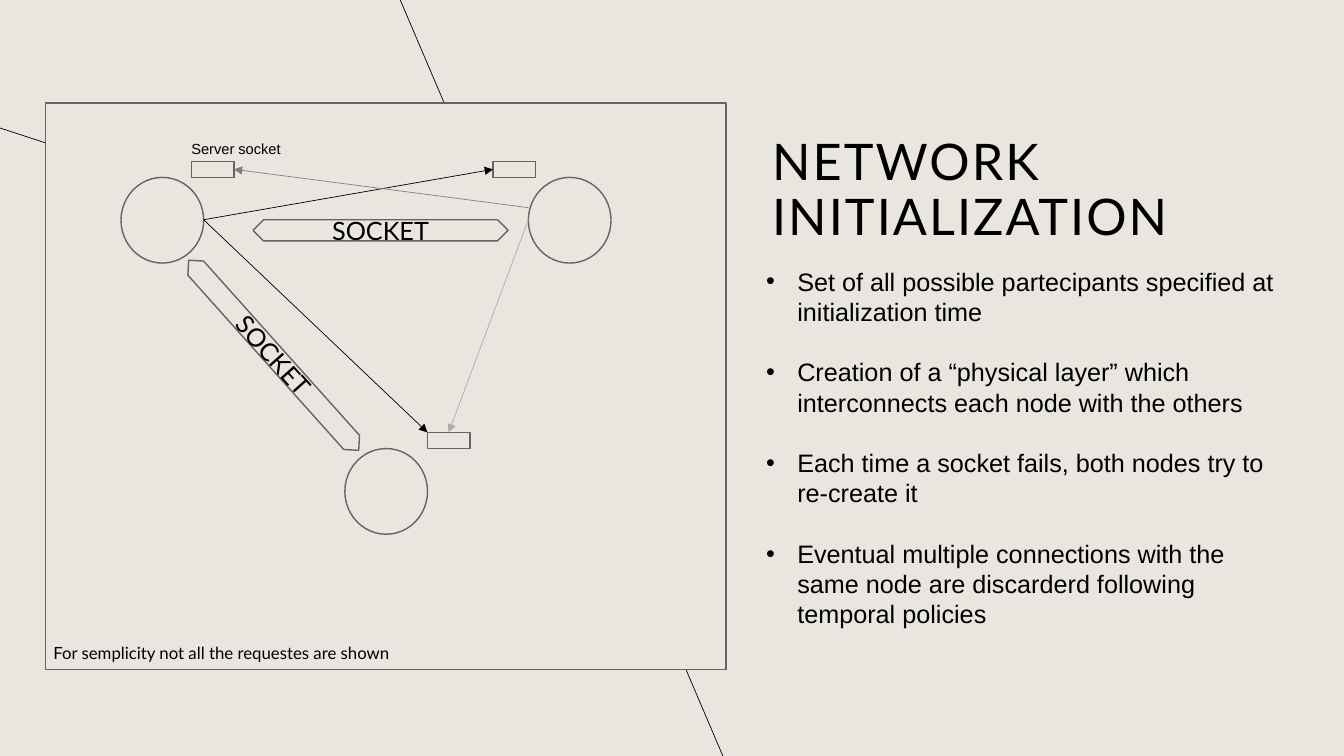
from typing import NamedTuple, Optional

from lxml import etree
from pptx import Presentation
from pptx.dml.color import RGBColor
from pptx.enum.shapes import MSO_CONNECTOR, MSO_SHAPE
from pptx.enum.text import MSO_ANCHOR, MSO_AUTO_SIZE, PP_ALIGN
from pptx.oxml.ns import qn
from pptx.util import Emu, Pt

PX = 9144  # 100 px to the inch
SLIDE_W, SLIDE_H = 1333, 750

PAPER = RGBColor(0xE9, 0xE6, 0xDF)
OUTLINE = RGBColor(0x66, 0x64, 0x61)
BLACK = RGBColor(0x00, 0x00, 0x00)
GREY = RGBColor(0x80, 0x80, 0x80)
PALE_GREY = RGBColor(0xAF, 0xAB, 0xAB)

NODE_W, NODE_H = 82, 85
SERVER_W, SERVER_H = 42, 16
CHANNEL_W, CHANNEL_H = 253, 21
TOP, LEFT, RIGHT = 0, 1, 3
BULLET_LINE = Pt(21.6)
BULLET_INDENT = 31


class Point(NamedTuple):
    x: int
    y: int


class Box(NamedTuple):
    x: int
    y: int
    w: int
    h: int


class Request(NamedTuple):
    start: Point
    end: Point
    color: RGBColor
    server: Optional[int] = None
    side: int = TOP


class Channel(NamedTuple):
    corner: Point
    angle: float


class Label(NamedTuple):
    box: Box
    text: str
    font: str
    size: float


BACKDROP_LINES = [
    (Point(717, 362), Point(0, 127)),
    (Point(717, 750), Point(397, 0)),
]
PANEL = Box(45, 102, 675, 562)
NODES = [Point(120, 176), Point(524, 176), Point(342, 445)]
SERVERS = [Point(190, 160), Point(489, 160), Point(424, 429)]
OUTGOING = [
    Request(Point(202, 218), Point(489, 168), BLACK, server=1, side=LEFT),
    Request(Point(202, 218), Point(424, 429), BLACK),
]
CHANNELS = [Channel(Point(145, 342), 48.2), Channel(Point(251, 218), 0)]
INCOMING = [
    Request(Point(524, 206), Point(232, 168), GREY, server=0, side=RIGHT),
    Request(Point(524, 218), Point(445, 429), PALE_GREY, server=2, side=TOP),
]
LABELS = [
    Label(Box(43, 633, 472, 30), "For semplicity not all the requestes are shown", "Lato", 12),
    Label(Box(180, 134, 135, 27), "Server socket", "Arial", 10.5),
]
TITLE = Label(Box(756, 102, 457, 147), "NETWORK INITIALIZATION", "Lato", 36)
BULLETS_BOX = Box(750, 259, 533, 370)
BULLETS = [
    "Set of all possible partecipants specified at initialization time",
    "Creation of a “physical layer” which interconnects each node with the others",
    "Each time a socket fails, both nodes try to re-create it",
    "Eventual multiple connections with the same node are discarderd following temporal policies",
]


def emu(*lengths: int) -> list[Emu]:
    return [Emu(length * PX) for length in lengths]


def add_run(paragraph, text: str, font: str, size: float):
    run = paragraph.add_run()
    run.text = text
    run.font.name = font
    run.font.size = Pt(size)
    run.font.color.rgb = BLACK
    return run


def add_outlined(slide, kind: MSO_SHAPE, box: Box):
    shape = slide.shapes.add_shape(kind, *emu(*box))
    shape.shadow.inherit = False
    shape.fill.solid()
    shape.fill.fore_color.rgb = PAPER
    shape.line.color.rgb = OUTLINE
    shape.line.width = Pt(1)
    return shape


def add_line(slide, start: Point, end: Point, color: RGBColor):
    line = slide.shapes.add_connector(MSO_CONNECTOR.STRAIGHT, *emu(*start, *end))
    line.line.color.rgb = color
    line.line.width = Pt(0.5)
    etree.SubElement(line._element.spPr, qn("a:effectLst"))
    return line


def add_request(slide, request: Request, servers: list) -> None:
    """Draw an arrow, joined to its server socket where it meets a side's middle."""
    arrow = add_line(slide, request.start, request.end, request.color)
    etree.SubElement(arrow.line._get_or_add_ln(), qn("a:tailEnd"), type="triangle")
    if request.server is not None:
        arrow.end_connect(servers[request.server], request.side)


def add_channel(slide, channel: Channel) -> None:
    shape = add_outlined(slide, MSO_SHAPE.LEFT_RIGHT_ARROW, Box(*channel.corner, CHANNEL_W, CHANNEL_H))
    shape.adjustments[0] = 1
    shape.adjustments[1] = 0.5
    shape.rotation = channel.angle
    frame = shape.text_frame
    frame.vertical_anchor = MSO_ANCHOR.MIDDLE
    paragraph = frame.paragraphs[0]
    paragraph.alignment = PP_ALIGN.CENTER
    add_run(paragraph, "SOCKET", "Lato", 18)


def add_frame(slide, box: Box, auto_size: MSO_AUTO_SIZE = MSO_AUTO_SIZE.SHAPE_TO_FIT_TEXT):
    frame = slide.shapes.add_textbox(*emu(*box)).text_frame
    frame.word_wrap = True
    frame.auto_size = auto_size
    return frame


def add_title(slide) -> None:
    frame = add_frame(slide, TITLE.box, MSO_AUTO_SIZE.NONE)
    frame.vertical_anchor = MSO_ANCHOR.BOTTOM
    paragraph = frame.paragraphs[0]
    paragraph.line_spacing = 0.9
    run = add_run(paragraph, TITLE.text, TITLE.font, TITLE.size)
    run.font._element.set("spc", "150")


def add_bullets(slide) -> None:
    frame = add_frame(slide, BULLETS_BOX)
    for index, bullet in enumerate(BULLETS):
        paragraph = frame.add_paragraph() if index else frame.paragraphs[0]
        properties = paragraph._p.get_or_add_pPr()
        properties.set("marL", str(BULLET_INDENT * PX))
        properties.set("indent", str(-BULLET_INDENT * PX))
        bullet_color = etree.SubElement(properties, qn("a:buClr"))
        etree.SubElement(bullet_color, qn("a:srgbClr"), val=str(BLACK))
        etree.SubElement(properties, qn("a:buFont"), typeface="Arial")
        etree.SubElement(properties, qn("a:buChar"), char="•")
        paragraph.line_spacing = BULLET_LINE
        if index:
            paragraph.space_before = BULLET_LINE
        add_run(paragraph, bullet, "Arial", 18)


def main() -> None:
    deck = Presentation()
    deck.slide_width, deck.slide_height = emu(SLIDE_W, SLIDE_H)
    slide = deck.slides.add_slide(deck.slide_layouts[6])
    slide.background.fill.solid()
    slide.background.fill.fore_color.rgb = PAPER

    for start, end in BACKDROP_LINES:
        add_line(slide, start, end, BLACK)
    add_title(slide)
    add_outlined(slide, MSO_SHAPE.RECTANGLE, PANEL)
    for corner in NODES:
        add_outlined(slide, MSO_SHAPE.FLOWCHART_CONNECTOR, Box(*corner, NODE_W, NODE_H))
    servers = [
        add_outlined(slide, MSO_SHAPE.RECTANGLE, Box(*corner, SERVER_W, SERVER_H))
        for corner in SERVERS
    ]
    for request in OUTGOING:
        add_request(slide, request, servers)
    for channel in CHANNELS:
        add_channel(slide, channel)
    for request in INCOMING:
        add_request(slide, request, servers)
    for label in LABELS:
        add_run(add_frame(slide, label.box).paragraphs[0], label.text, label.font, label.size)
    add_bullets(slide)
    deck.save("out.pptx")


if __name__ == "__main__":
    main()
